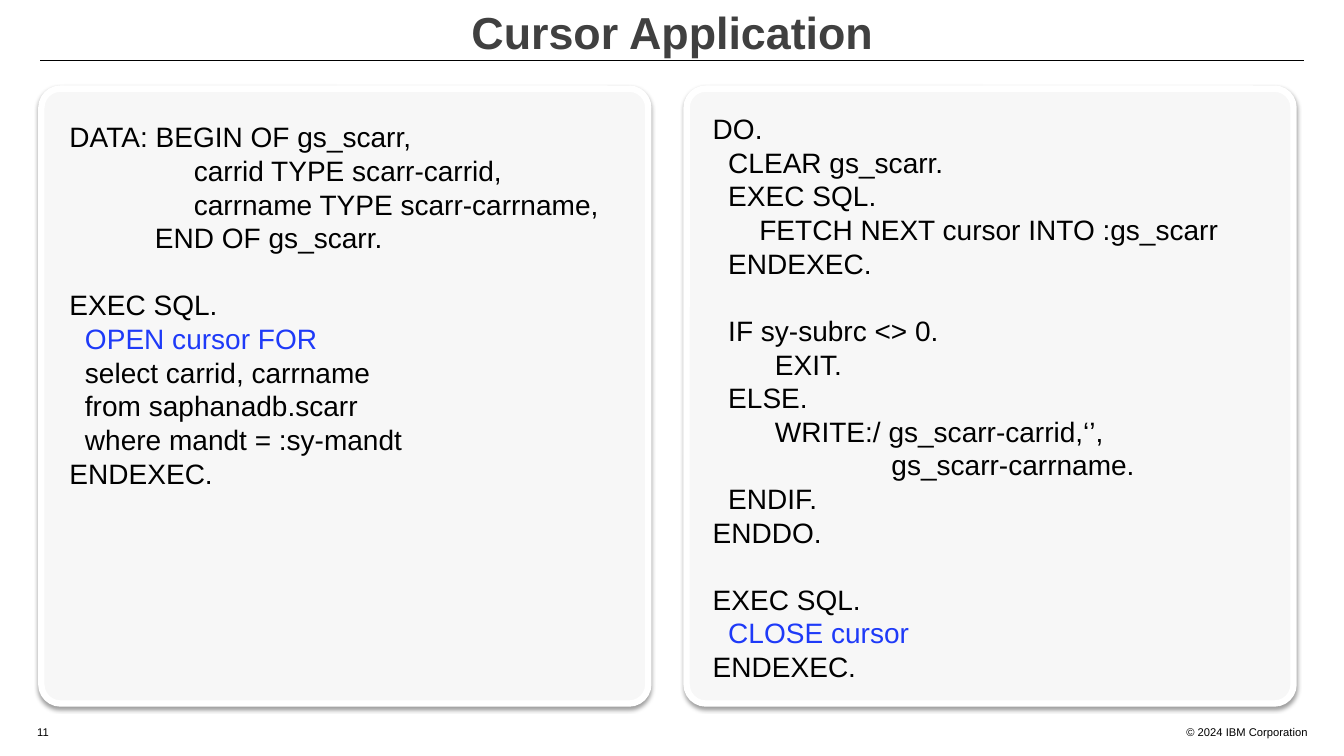
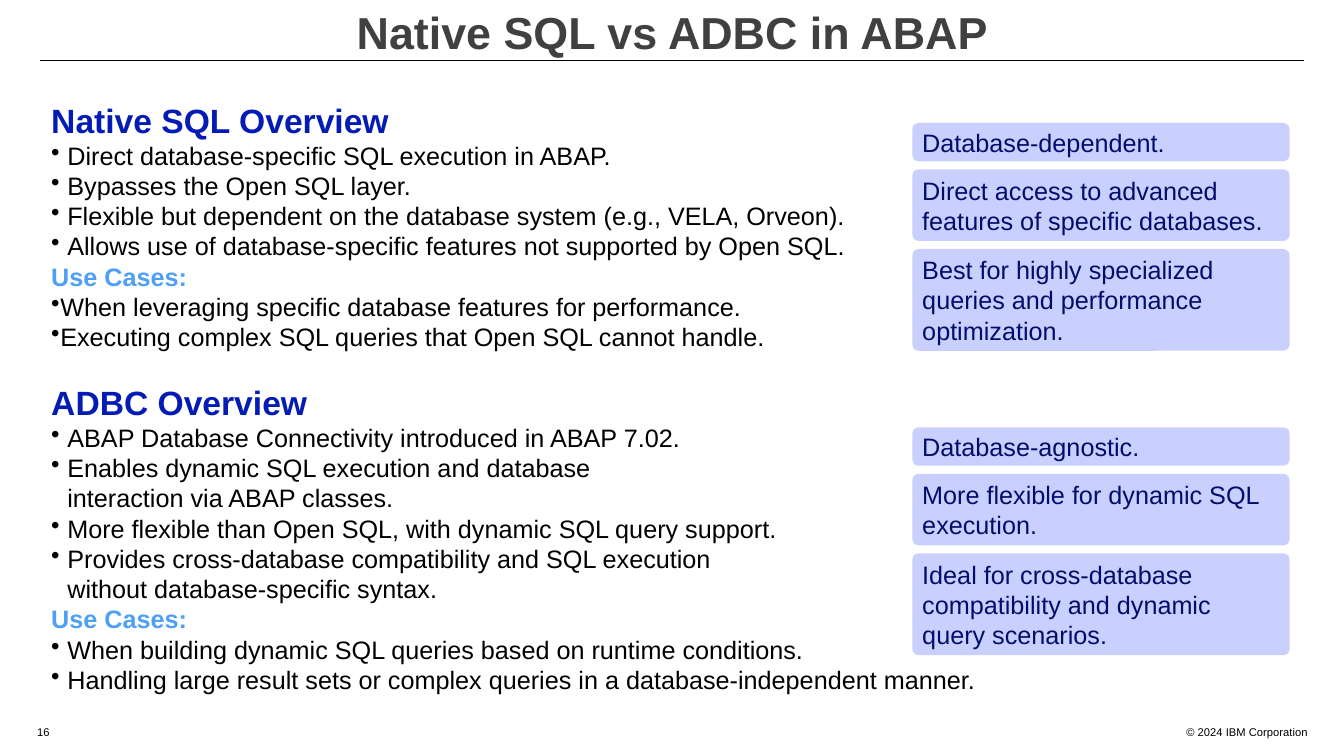
import pptx
import pptx.util
import pptx.dml.color
import pptx.enum.shapes
import pptx.enum.text
import pptx.oxml
import pptx.oxml.ns
from lxml import etree

Inches = pptx.util.Inches
Pt = pptx.util.Pt
ALIGN = pptx.enum.text.PP_ALIGN
ROUNDED = pptx.enum.shapes.MSO_SHAPE.ROUNDED_RECTANGLE

COLORS = {
    "text": "000000", "title": "404040", "keyword": "1E3AF8",
    "panel": "F7F7F7", "panel_edge": "FFFFFF", "shadow": "000000",
    "heading": "051CB4", "use_cases": "4FA0F5",
    "card": "C9D0FD", "card_text": "030D6B",
}
FONT = "Arial"
LINE_HEIGHT = 1.2
BULLET_HANG, TIGHT_HANG = 0.16, 0.09
CARD_HEIGHTS = {1: 0.38, 2: 0.71, 3: 1.01}
CARD_GAP, CARD_RADIUS = 0.08, 0.06

DECLARE_AND_OPEN = """\
DATA: BEGIN OF gs_scarr,
                carrid TYPE scarr-carrid,
                carrname TYPE scarr-carrname,
           END OF gs_scarr.

EXEC SQL.
  OPEN cursor FOR
  select carrid, carrname
  from saphanadb.scarr
  where mandt = :sy-mandt
ENDEXEC."""

FETCH_AND_CLOSE = """\
DO.
  CLEAR gs_scarr.
  EXEC SQL.
      FETCH NEXT cursor INTO :gs_scarr
  ENDEXEC.

  IF sy-subrc <> 0.
        EXIT.
  ELSE.
        WRITE:/ gs_scarr-carrid,‘’,
                       gs_scarr-carrname.
  ENDIF.
ENDDO.

EXEC SQL.
  CLOSE cursor
ENDEXEC."""

KEYWORD_LINES = {"OPEN cursor FOR", "CLOSE cursor"}

NATIVE_FEATURES = [
    "Direct database-specific SQL execution in ABAP.",
    "Bypasses the Open SQL layer.",
    "Flexible but dependent on the database system (e.g., VELA, Orveon).",
    "Allows use of database-specific features not supported by Open SQL.",
]
NATIVE_USES = [
    "When leveraging specific database features for performance.",
    "Executing complex SQL queries that Open SQL cannot handle.",
]
NATIVE_CARDS = [
    (1, "Database-dependent."),
    (2, "Direct access to advanced features of specific databases."),
    (3, "Best for highly specialized queries and performance optimization."),
]
ADBC_FEATURES = [
    "ABAP Database Connectivity introduced in ABAP 7.02.",
    "Enables dynamic SQL execution and database\vinteraction via ABAP classes.",
    "More flexible than Open SQL, with dynamic SQL query support.",
    "Provides cross-database compatibility and SQL execution\v"
    "without database-specific syntax.",
]
ADBC_USES = [
    "When building dynamic SQL queries based on runtime conditions.",
    "Handling large result sets or complex queries in a database-independent manner.",
]
ADBC_CARDS = [
    (1, "Database-agnostic."),
    (2, "More flexible for dynamic SQL execution."),
    (3, "Ideal for cross-database compatibility and dynamic query scenarios."),
]


def rgb(name):
    return pptx.dml.color.RGBColor.from_string(COLORS[name])


def text_frame(slide, left, top, width, height):
    frame = slide.shapes.add_textbox(
        Inches(left), Inches(top), Inches(width), Inches(height)).text_frame
    frame.word_wrap = True
    return frame


def write_line(frame, text, size, color="text", bold=False, align=ALIGN.LEFT,
               space_before=0, hang=0):
    """Fill the frame's empty first paragraph, or add one after it."""
    first = frame.paragraphs[0]
    line = frame.add_paragraph() if first.runs else first
    line.text = text
    if hang:
        properties = line._p.get_or_add_pPr()
        properties.set("marL", str(Inches(hang)))
        properties.set("indent", str(-Inches(hang)))
        bullet = etree.SubElement(properties, pptx.oxml.ns.qn("a:buChar"))
        bullet.set("char", "•")
    line.alignment = align
    line.line_spacing = Pt(size * LINE_HEIGHT)
    if space_before:
        line.space_before = Pt(space_before)
    line.font.name = FONT
    line.font.size = Pt(size)
    line.font.bold = bold
    line.font.color.rgb = rgb(color)


def rounded_box(slide, left, top, width, height, radius, fill):
    box = slide.shapes.add_shape(
        ROUNDED, Inches(left), Inches(top), Inches(width), Inches(height))
    box.adjustments[0] = radius / min(width, height)
    box.fill.solid()
    box.fill.fore_color.rgb = rgb(fill)
    box.line.fill.background()
    box.shadow.inherit = False
    return box


def add_frame(deck, title, number):
    """New slide with title, rule and footer."""
    slide = deck.slides.add_slide(deck.slide_layouts[6])
    rule = slide.shapes.add_connector(
        pptx.enum.shapes.MSO_CONNECTOR.STRAIGHT,
        Inches(0.4), Inches(0.6), Inches(12.93), Inches(0.6))
    rule.line.color.rgb = rgb("text")
    rule.line.width = Pt(0.75)
    etree.SubElement(rule._element.spPr, pptx.oxml.ns.qn("a:effectLst"))
    write_line(text_frame(slide, 0.41, 0, 12.52, 0.64), title, 32, "title",
               bold=True, align=ALIGN.CENTER)
    write_line(text_frame(slide, 0.27, 7.15, 0.53, 0.2), str(number), 8)
    write_line(text_frame(slide, 11.07, 7.15, 2, 0.2),
               "© 2024 IBM Corporation", 8, align=ALIGN.RIGHT)
    return slide


def add_code_panel(slide, left, top, code, inset_left, inset_top):
    width, height, size = 6.02, 6.1, 20
    panel = rounded_box(slide, left, top, width, height, 0.19, "panel")
    panel.line.color.rgb = rgb("panel_edge")
    panel.line.width = Pt(4.5)
    # Soft shadow below the panel
    effects = panel._element.spPr.find(pptx.oxml.ns.qn("a:effectLst"))
    effects.append(pptx.oxml.parse_xml(
        f'<a:outerShdw {pptx.oxml.ns.nsdecls("a")} blurRad="{Pt(3.1)}" '
        f'dist="{Pt(1.6)}" dir="5400000" algn="t" rotWithShape="0">'
        f'<a:srgbClr val="{COLORS["shadow"]}"><a:alpha val="38000"/>'
        '</a:srgbClr></a:outerShdw>'))
    # Code, with the gap between blocks set as paragraph spacing
    listing = text_frame(slide, left + inset_left, top + inset_top,
                         width - 0.4, height - 2 * inset_top)
    for number, block in enumerate(code.split("\n\n")):
        for row, text in enumerate(block.split("\n")):
            gap = size * LINE_HEIGHT if number and not row else 0
            color = "keyword" if text.strip() in KEYWORD_LINES else "text"
            write_line(listing, text, size, color, space_before=gap)


def add_overview(slide, left, top, height, heading, features, uses, uses_hang):
    overview = text_frame(slide, left, top, 9.45, height)
    write_line(overview, heading, 24, "heading", bold=True)
    for feature in features:
        write_line(overview, feature, 18, hang=BULLET_HANG)
    write_line(overview, "Use Cases:", 18, "use_cases", bold=True)
    for use in uses:
        write_line(overview, use, 18, hang=uses_hang)


def add_cards(slide, left, top, cards):
    for lines, text in cards:
        height = CARD_HEIGHTS[lines]
        card = rounded_box(slide, left, top, 3.74, height, CARD_RADIUS, "card")
        frame = card.text_frame
        frame.word_wrap = True
        frame.margin_left = frame.margin_right = Inches(0.08)
        frame.margin_top = frame.margin_bottom = 0
        frame.vertical_anchor = pptx.enum.text.MSO_ANCHOR.MIDDLE
        write_line(frame, text, 18, "card_text")
        top += height + CARD_GAP


def build_cursor_slide(deck):
    slide = add_frame(deck, "Cursor Application", 11)
    add_code_panel(slide, 0.41, 0.88, DECLARE_AND_OPEN, 0.18, 0.26)
    add_code_panel(slide, 6.81, 0.88, FETCH_AND_CLOSE, 0.16, 0.18)


def build_comparison_slide(deck):
    slide = add_frame(deck, "Native SQL vs ADBC in ABAP", 16)
    add_overview(slide, 0.41, 0.94, 2.6, "Native SQL Overview",
                 NATIVE_FEATURES, NATIVE_USES, TIGHT_HANG)
    add_overview(slide, 0.41, 3.74, 3.2, "ADBC Overview",
                 ADBC_FEATURES, ADBC_USES, BULLET_HANG)
    add_cards(slide, 9.05, 1.22, NATIVE_CARDS)
    add_cards(slide, 9.05, 4.24, ADBC_CARDS)


def main():
    deck = pptx.Presentation()
    deck.slide_width = Inches(13.33)
    deck.slide_height = Inches(7.5)
    build_cursor_slide(deck)
    build_comparison_slide(deck)
    deck.save("out.pptx")


if __name__ == "__main__":
    main()
